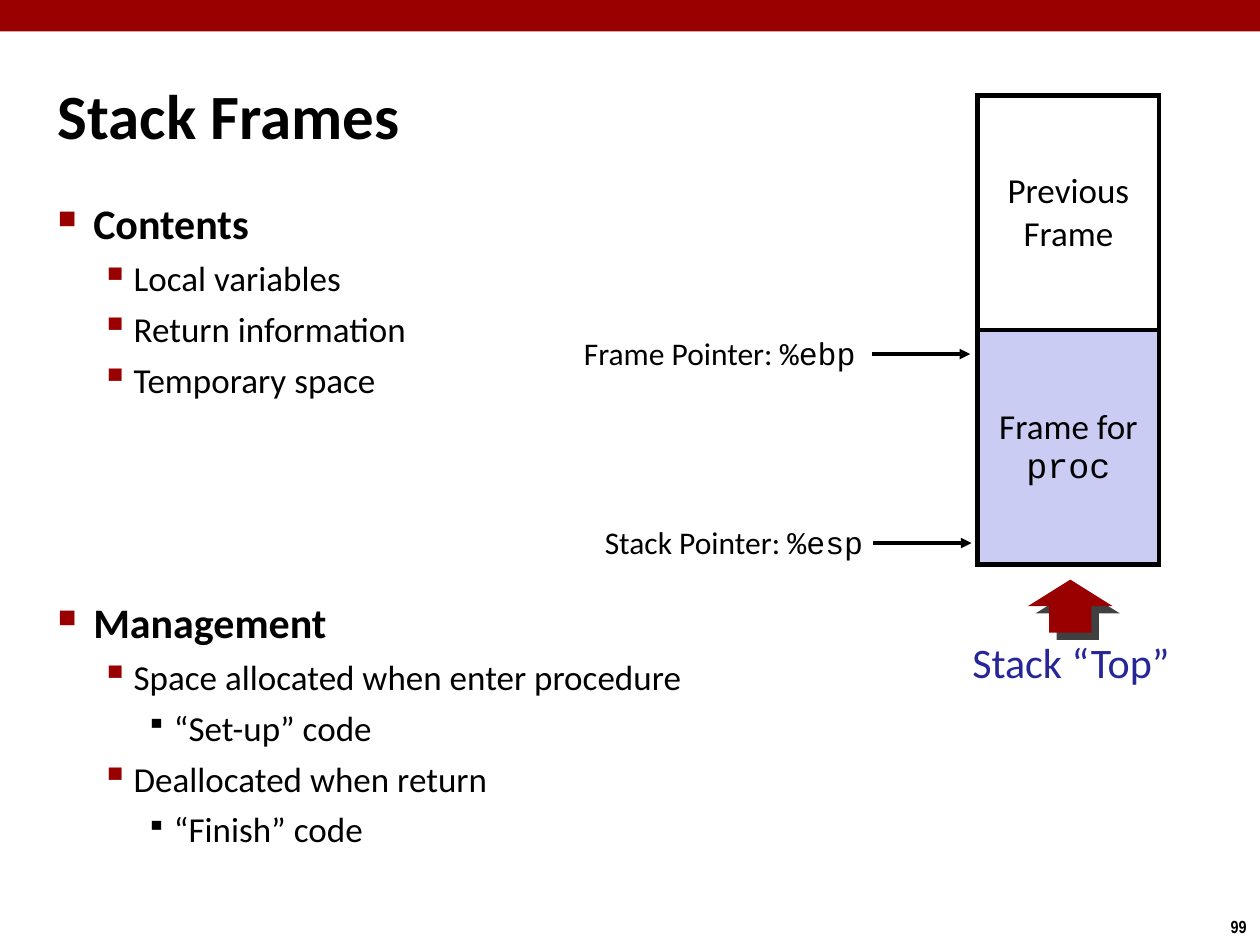
from dataclasses import dataclass

from lxml.etree import SubElement
from pptx import Presentation
from pptx.dml.color import RGBColor
from pptx.enum.shapes import MSO_CONNECTOR as Connector, MSO_SHAPE as Shape
from pptx.enum.text import MSO_ANCHOR as Anchor, MSO_AUTO_SIZE as AutoSize, PP_ALIGN as Align
from pptx.oxml.ns import qn
from pptx.util import Inches, Pt

COLUMNS, ROWS = 100, 75
UNIT = Inches(10) / COLUMNS  # grid cells are square


@dataclass(frozen=True)
class Theme:
    black: str = "000000"
    red: str = "990000"
    blue: str = "262699"
    lavender: str = "CBCCF3"
    sans: str = "Calibri"
    mono: str = "Courier New"
    narrow: str = "Arial Narrow"
    title: int = 36
    heading: int = 24
    body: int = 20
    label: int = 18
    number: int = 10


THEME = Theme()


@dataclass(frozen=True)
class Box:
    """A region in grid columns and rows."""
    x: float
    y: float
    width: float
    height: float

    def inner(self, x, y, width, height):
        return Box(self.x + x, self.y + y, width, height)

    def emu(self):
        return [round(v * UNIT) for v in (self.x, self.y, self.width, self.height)]


@dataclass(frozen=True)
class Level:
    indent: float
    hanging: float
    mark: str
    mark_color: str
    mark_percent: int
    size: int
    bold: bool
    before: int


SECTION_GAP = 112  # points above a new section
LEVELS = (
    Level(0.28, 0.28, "■", THEME.red, 60, THEME.heading, True, SECTION_GAP),
    Level(0.6, 0.26, "▪", THEME.red, 110, THEME.body, False, 5),
    Level(0.92, 0.22, "▪", THEME.black, 80, THEME.body, False, 5),
)

OUTLINE = (
    (0, "Contents"),
    (1, "Local variables"),
    (1, "Return information"),
    (1, "Temporary space"),
    (0, "Management"),
    (1, "Space allocated when enter procedure"),
    (2, "“Set-up” code"),
    (1, "Deallocated when return"),
    (2, "“Finish” code"),
)


def write(paragraph, text, code="", size=THEME.body, font=THEME.sans,
          color=THEME.black, bold=False, align=Align.LEFT, break_before_code=False):
    """Write text, then optional code in the monospaced font."""
    paragraph.alignment = align
    for content, name in ((text, font), (code, THEME.mono)):
        if not content:
            continue
        if content == code and break_before_code:
            paragraph.add_line_break()
        run = paragraph.add_run()
        run.text = content
        run.font.name = name
        run.font.size = Pt(size)
        run.font.bold = bold
        run.font.color.rgb = RGBColor.from_string(color)


def set_margins(target, inches):
    target.margin_left = target.margin_right = Inches(inches)
    target.margin_top = target.margin_bottom = Inches(inches)


def add_frame(slide, box, wrap=True, margin=0.04, anchor=Anchor.TOP):
    frame = slide.shapes.add_textbox(*box.emu()).text_frame
    frame.word_wrap = wrap
    frame.auto_size = AutoSize.NONE if wrap else AutoSize.SHAPE_TO_FIT_TEXT
    frame.vertical_anchor = anchor
    set_margins(frame, margin)
    return frame


def add_solid(slide, preset, box, color):
    shape = slide.shapes.add_shape(preset, *box.emu())
    shape.shadow.inherit = False
    shape.fill.solid()
    shape.fill.fore_color.rgb = RGBColor.from_string(color)
    shape.line.fill.background()
    return shape


def add_color(parent, color):
    return SubElement(parent, qn("a:srgbClr"), val=color)


def add_bullet(paragraph, level):
    properties = paragraph._p.get_or_add_pPr()
    properties.set("marL", str(Inches(level.indent)))
    properties.set("indent", str(-Inches(level.hanging)))
    add_color(SubElement(properties, qn("a:buClr")), level.mark_color)
    SubElement(properties, qn("a:buSzPct"), val=str(level.mark_percent * 1000))
    SubElement(properties, qn("a:buChar"), char=level.mark)


def add_outline(slide, box):
    frame = add_frame(slide, box)
    for index, (depth, text) in enumerate(OUTLINE):
        level = LEVELS[depth]
        paragraph = frame.add_paragraph() if index else frame.paragraphs[0]
        paragraph.level = depth
        add_bullet(paragraph, level)
        if index:
            paragraph.space_before = Pt(level.before)
        write(paragraph, text, size=level.size, bold=level.bold)


def add_cell_borders(cell):
    properties = cell._tc.get_or_add_tcPr()
    for index, side in enumerate(("lnL", "lnR", "lnT", "lnB")):
        line = SubElement(properties, qn(f"a:{side}"), w=str(Pt(3)))
        add_color(SubElement(line, qn("a:solidFill")), THEME.black)
        properties.insert(index, line)  # borders come before the fill


def add_frames_table(slide, box):
    table = slide.shapes.add_table(2, 1, *box.emu()).table
    table.first_row = table.horz_banding = False
    contents = (("Previous Frame", "", None), ("Frame for", "proc", THEME.lavender))
    for row, (text, code, fill) in enumerate(contents):
        cell = table.cell(row, 0)
        cell.vertical_anchor = Anchor.MIDDLE
        set_margins(cell, 0.06)
        if fill:
            cell.fill.solid()
            cell.fill.fore_color.rgb = RGBColor.from_string(fill)
        else:
            cell.fill.background()
        add_cell_borders(cell)
        write(cell.text_frame.paragraphs[0], text, code,
              align=Align.CENTER, break_before_code=True)


def add_pointer(slide, box, text, code, arrow_x):
    """Place a register label and its arrow on the label's middle line."""
    label = add_frame(slide, box)
    write(label.paragraphs[0], text, code, size=THEME.label, align=Align.RIGHT)
    x, y, length, _ = box.inner(arrow_x, box.height / 2, 7.8, 0).emu()
    arrow = slide.shapes.add_connector(Connector.STRAIGHT, x, y, x + length, y)
    arrow.line.color.rgb = RGBColor.from_string(THEME.black)
    arrow.line.width = Pt(2)
    SubElement(arrow.line._get_or_add_ln(), qn("a:tailEnd"), type="triangle")
    SubElement(arrow._element.spPr, qn("a:effectLst"))


def add_top_arrow(slide, box):
    arrow = add_solid(slide, Shape.UP_ARROW, box, THEME.red)
    effects = arrow._element.spPr.find(qn("a:effectLst"))
    shadow = SubElement(effects, qn("a:outerShdw"), blurRad="0", dist=str(Pt(6)),
                        dir=str(45 * 60000), algn="ctr", rotWithShape="0")
    SubElement(add_color(shadow, THEME.black), qn("a:alpha"), val="75000")


def add_stack(slide, box):
    add_frames_table(slide, box.inner(36, 0, 14.4, 37.2))
    add_pointer(slide, box.inner(0, 18.5, 26.7, 4), "Frame Pointer: ", "%ebp", 27.6)
    add_pointer(slide, box.inner(0.6, 33.5, 26.7, 4), "Stack Pointer: ", "%esp", 27.1)
    add_top_arrow(slide, box.inner(40, 38.4, 6.7, 4.2))
    caption = add_frame(slide, box.inner(34.9, 42.5, 17, 4.9), wrap=False)
    write(caption.paragraphs[0], "Stack “Top”", size=THEME.heading,
          color=THEME.blue, align=Align.CENTER)


def add_title(slide, box):
    frame = add_frame(slide, box, anchor=Anchor.MIDDLE)
    write(frame.paragraphs[0], "Stack Frames", size=THEME.title, bold=True)


def add_slide_number(slide, box):
    frame = add_frame(slide, box, wrap=False, margin=0.05)
    write(frame.paragraphs[0], "99", size=THEME.number, font=THEME.narrow,
          bold=True, align=Align.CENTER)


def main():
    presentation = Presentation()
    presentation.slide_width = round(COLUMNS * UNIT)
    presentation.slide_height = round(ROWS * UNIT)
    slide = presentation.slides.add_slide(presentation.slide_layouts[6])
    add_solid(slide, Shape.RECTANGLE, Box(0, 0, COLUMNS, 2.5), THEME.red)
    add_title(slide, Box(4.2, 2.8, 91.7, 12.5))
    add_outline(slide, Box(4.2, 15.3, 50.8, 59.4))
    add_stack(slide, Box(41.6, 7.6, 51.9, 47.4))
    add_slide_number(slide, Box(96.6, 72.2, 3.4, 2.7))
    presentation.save("out.pptx")


if __name__ == "__main__":
    main()
